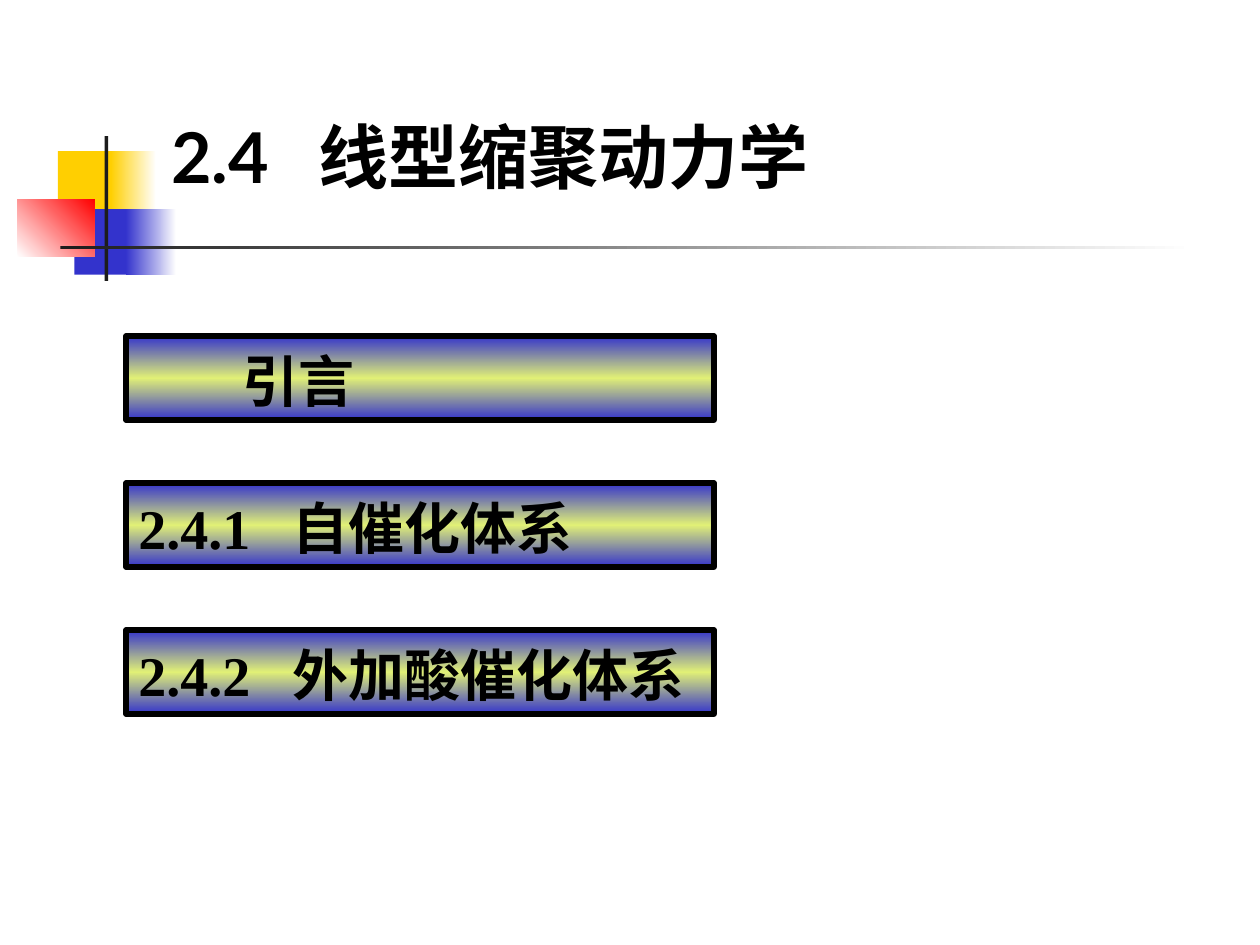
from dataclasses import dataclass

from lxml import etree
from pptx import Presentation
from pptx.dml.color import RGBColor
from pptx.enum.shapes import MSO_SHAPE
from pptx.enum.text import MSO_ANCHOR
from pptx.oxml.ns import qn
from pptx.util import Inches, Pt

RECTANGLE = MSO_SHAPE.RECTANGLE
BOTTOM = MSO_ANCHOR.BOTTOM
GRID = 1 / 6  # inches per column and row of the button grid


@dataclass(frozen=True)
class Theme:
    black: str = "000000"
    white: str = "FFFFFF"
    yellow: str = "FFCF01"
    blue: str = "3333CC"
    red: str = "FF0000"
    dark: str = "1C1C1C"
    lime: str = "E1F076"
    title_font: str = "Lato"
    button_font: str = "Times New Roman"
    title_size: int = 40
    button_size: int = 32
    border: int = 3


THEME = Theme()


def add_block(page, box, colours, angle=0):
    """Add a rectangle filled with one colour or an even gradient of several."""
    block = page.shapes.add_shape(RECTANGLE, *map(Inches, box))
    block.shadow.inherit = False
    block.line.fill.background()
    if len(colours) == 1:
        block.fill.solid()
        block.fill.fore_color.rgb = RGBColor.from_string(colours[0])
        return block
    block.fill.gradient()
    block.fill.gradient_angle = angle
    stops = block._element.spPr.find(f".//{qn('a:gsLst')}")
    for stop in list(stops):
        stops.remove(stop)
    for index, colour in enumerate(colours):
        position = 100000 * index // (len(colours) - 1)
        stop = etree.SubElement(stops, qn("a:gs"), pos=str(position))
        etree.SubElement(stop, qn("a:srgbClr"), val=colour)
    return block


def write_line(shape, text, font, size, tab=0, indent=0):
    """Write one bold line, with a tab stop or a left indent in inches."""
    frame = shape.text_frame
    frame.word_wrap = True
    frame.vertical_anchor = BOTTOM
    para = frame.paragraphs[0]
    para.text = text
    properties = para._p.get_or_add_pPr()
    properties.set("algn", "l")
    if indent:
        properties.set("marL", str(Inches(indent)))
        properties.set("indent", "0")
    if tab:
        tabs = etree.SubElement(properties, qn("a:tabLst"))
        etree.SubElement(tabs, qn("a:tab"), pos=str(Inches(tab)), algn="l")
    para.font.name = font
    para.font.size = Pt(size)
    para.font.bold = True
    para.font.color.rgb = RGBColor.from_string(THEME.black)


def add_ornament(page, box):
    """Overlapping colour blocks with a cross of two bars."""
    left, top, width, _ = box
    blocks = [
        # left, top, width, height, colours, angle
        (0.32, 0.12, 0.48, 0.52, [THEME.yellow], 0),
        (0.74, 0.12, 0.36, 0.52, [THEME.yellow, THEME.white], 0),
        (0.45, 0.58, 0.46, 0.52, [THEME.blue], 0),
        (0.86, 0.58, 0.4, 0.52, [THEME.blue, THEME.white], 0),
        (0, 0.5, 0.61, 0.46, [THEME.white, THEME.red], 45),
        (0.69, 0, 0.03, 1.15, [THEME.dark], 0),
        (0.34, 0.87, width - 0.34, 0.03, [THEME.dark, THEME.white], 0),
    ]
    for x, y, wide, high, colours, angle in blocks:
        add_block(page, (left + x, top + y, wide, high), colours, angle)


def add_title(page, box, text):
    title = page.shapes.add_textbox(*map(Inches, box))
    write_line(title, text, THEME.title_font, THEME.title_size, tab=1.17)


def add_buttons(page, box, entries):
    """Stack equal buttons, with the gaps shared evenly over the box."""
    left, top, width, height = box
    button_height = 4 * GRID
    pitch = (height - button_height) / (len(entries) - 1)
    for row, (text, layout) in enumerate(entries):
        place = (left, top + row * pitch, width, button_height)
        button = add_block(page, place, [THEME.blue, THEME.lime, THEME.blue], 270)
        button.line.color.rgb = RGBColor.from_string(THEME.black)
        button.line.width = Pt(THEME.border)
        write_line(button, text, THEME.button_font, THEME.button_size, **layout)


def main():
    deck = Presentation()
    deck.slide_width, deck.slide_height = Inches(10), Inches(7.5)
    page = deck.slides.add_slide(deck.slide_layouts[6])

    add_ornament(page, (0.14, 1.08, 9.34, 1.15))
    add_title(page, (1.26, 0.66, 8.52, 0.96), "2.4\t线型缩聚动力学")
    entries = [
        ("引言", {"indent": 0.83}),
        ("2.4.1\t自催化体系", {"tab": 1.22}),
        ("2.4.2\t外加酸催化体系", {"tab": 1.22}),
    ]
    add_buttons(page, (6 * GRID, 16 * GRID, 28 * GRID, 18 * GRID), entries)

    deck.save("out.pptx")


if __name__ == "__main__":
    main()
